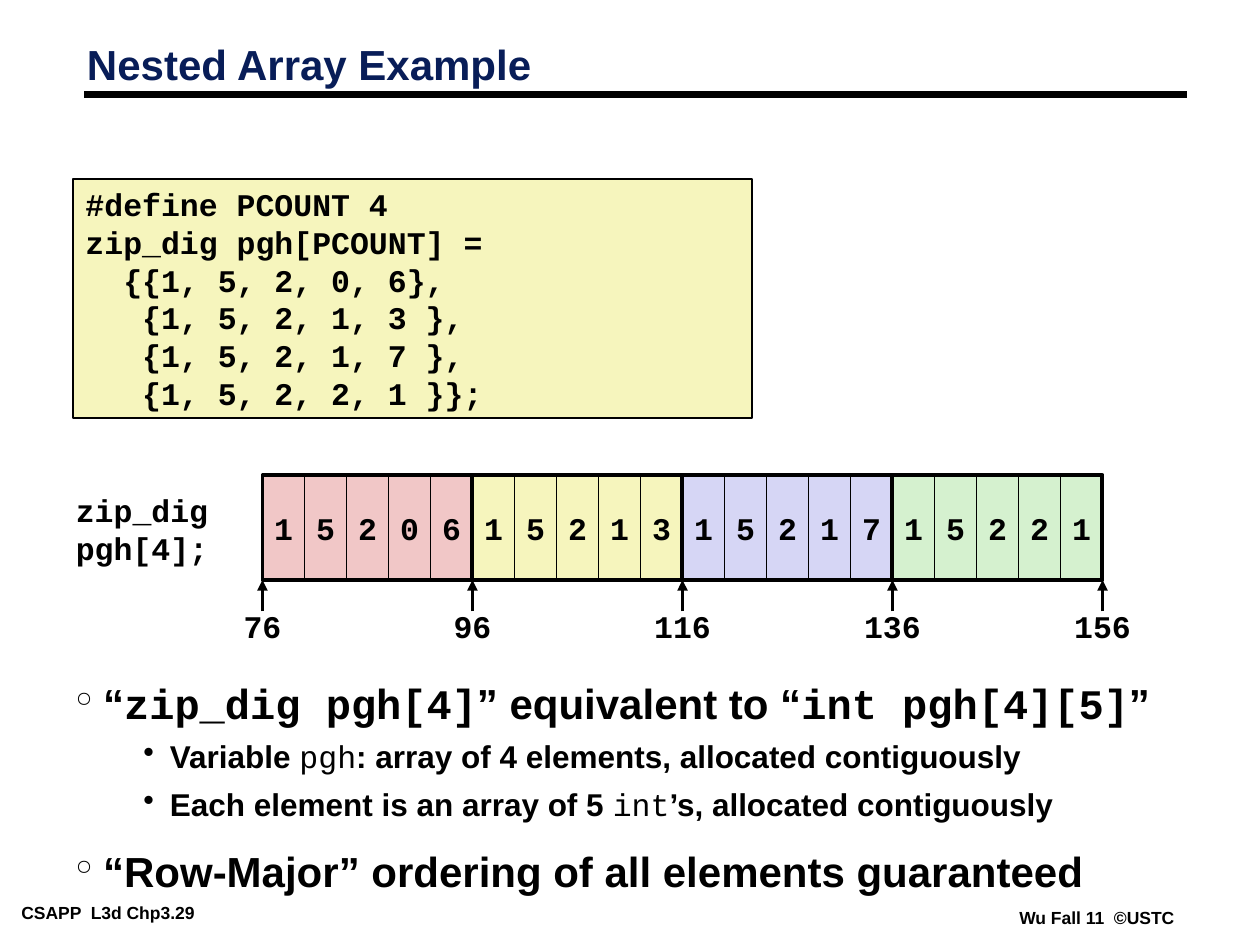
"""Build the nested array slide: code, memory row and notes."""
from lxml import etree
from pptx import Presentation
from pptx import util as u
from pptx.dml.color import RGBColor
from pptx.enum import shapes, text
from pptx.oxml import ns

BLACK = RGBColor(0, 0, 0)
NAVY = RGBColor(0x08, 0x1D, 0x58)
ROSE = RGBColor(0xF1, 0xC7, 0xC7)
CREAM = RGBColor(0xF6, 0xF5, 0xBD)
LILAC = RGBColor(0xD6, 0xD6, 0xF5)
MINT = RGBColor(0xD5, 0xF1, 0xCF)
SANS, MONO = "Arial", "Courier New"
COL = 1 / 3
LEFT, TOP, HIGH = 6.25 * COL, 3.77, 2.5 * COL
ROWS = [("15206", ROSE), ("15213", CREAM), ("15217", LILAC), ("15221", MINT)]
CODE = """#define PCOUNT 4
zip_dig pgh[PCOUNT] =
  {{1, 5, 2, 0, 6},
   {1, 5, 2, 1, 3 },
   {1, 5, 2, 1, 7 },
   {1, 5, 2, 2, 1 }};"""
NOTES = [
    (0, [("“", SANS), ("zip_dig pgh[4]", MONO), ("” equivalent to “", SANS),
         ("int pgh[4][5]", MONO), ("”", SANS)]),
    (1, [("Variable ", SANS), ("pgh", MONO),
         (": array of 4 elements, allocated contiguously", SANS)]),
    (1, [("Each element is an array of 5 ", SANS), ("int", MONO),
         ("’s, allocated contiguously", SANS)]),
    (0, [("“Row-Major” ordering of all elements guaranteed", SANS)]),
]
LEVELS = [("°", 0.22, 0.22, 24, 0.75, 19.5), ("•", 0.75, 0.21, 18, 0.85, 9)]


def style(para, size, name=SANS, color=BLACK):
    """Set the bold font of a paragraph."""
    font = para.font
    font.size, font.name, font.bold = u.Pt(size), name, True
    font.color.rgb = color


def write(shape, words, size=18, name=MONO, align=text.PP_ALIGN.LEFT,
          pad=(0.1, 0.05), anchor=text.MSO_ANCHOR.TOP, color=BLACK):
    """Fill a shape with lines of text in one font."""
    frame = shape.text_frame
    frame.word_wrap, frame.vertical_anchor = True, anchor
    frame.margin_left = frame.margin_right = u.Inches(pad[0])
    frame.margin_top = frame.margin_bottom = u.Inches(pad[1])
    for i, line in enumerate(words.split("\n")):
        para = frame.add_paragraph() if i else frame.paragraphs[0]
        para.text, para.alignment = line, align
        style(para, size, name, color)


def label(slide, box, words, **look):
    """Add a text box."""
    write(slide.shapes.add_textbox(*map(u.Inches, box)), words, **look)


def rect(slide, box, fill=None, width=1.0):
    """Add a black-edged rectangle, filled or hollow."""
    shape = slide.shapes.add_shape(
        shapes.MSO_SHAPE.RECTANGLE, *map(u.Inches, box))
    shape.shadow.inherit = False
    shape.line.color.rgb, shape.line.width = BLACK, u.Pt(width)
    if fill is None:
        shape.fill.background()
    else:
        shape.fill.solid()
        shape.fill.fore_color.rgb = fill
    return shape


def rule(slide, ends, width, arrow=False):
    """Add a straight black line, with an arrowhead if asked."""
    line = slide.shapes.add_connector(
        shapes.MSO_CONNECTOR.STRAIGHT, *map(u.Inches, ends))
    line.line.color.rgb, line.line.width = BLACK, u.Pt(width)
    if arrow:
        etree.SubElement(line.line._get_or_add_ln(), ns.qn("a:tailEnd"),
                         type="triangle")
    etree.SubElement(line._element.spPr, ns.qn("a:effectLst"))


def head(slide, words):
    """Place and format the title."""
    title = slide.shapes.title
    title.left, title.top, title.width, title.height = map(
        u.Inches, (0.59, 0.31, 4.83, 0.45))
    write(title, words, size=24, name=SANS, color=NAVY,
          anchor=text.MSO_ANCHOR.MIDDLE)
    title.text_frame.paragraphs[0].line_spacing = 0.87


def memory(slide):
    """Draw the rows of cells and the byte addresses below them."""
    wide, base = 5 * COL, TOP + HIGH
    for i in range(len(ROWS) + 1):
        x = LEFT + i * wide
        rule(slide, (x, base + 0.25, x, base), 2, arrow=True)
        label(slide, (x - 0.33, 4.77, 0.66, 0.4), str(76 + 20 * i),
              align=text.PP_ALIGN.CENTER, pad=(0, 0.05))
    for i, (digits, fill) in enumerate(ROWS):
        for j, digit in enumerate(digits):
            cell = rect(slide, (LEFT + i * wide + j * COL, TOP, COL, HIGH),
                        fill)
            write(cell, digit, align=text.PP_ALIGN.CENTER, pad=(0, 0.05),
                  anchor=text.MSO_ANCHOR.MIDDLE)
    for i in range(len(ROWS)):
        rect(slide, (LEFT + i * wide, TOP, wide, HIGH), width=2.25)


def bullet(para, mark, left, hang):
    """Give a paragraph a black bullet and a hanging indent."""
    props = para._p.get_or_add_pPr()
    props.set("marL", str(u.Inches(left)))
    props.set("indent", str(-u.Inches(hang)))
    tint = etree.SubElement(props, ns.qn("a:buClr"))
    etree.SubElement(tint, ns.qn("a:srgbClr"), val=str(BLACK))
    etree.SubElement(props, ns.qn("a:buChar"), char=mark)


def notes(slide):
    """Add the bulleted notes."""
    frame = slide.shapes.add_textbox(
        *map(u.Inches, (0.5, 5.42, 8.75, 2.08))).text_frame
    frame.word_wrap = True
    for i, (level, parts) in enumerate(NOTES):
        para = frame.add_paragraph() if i else frame.paragraphs[0]
        mark, left, hang, size, pitch, gap = LEVELS[level]
        para.level = level
        bullet(para, mark, left, hang)
        para.line_spacing, para.space_before = pitch, u.Pt(gap if i else 0)
        style(para, size)
        for words, name in parts:
            run = para.add_run()
            run.text, run.font.name = words, name
            if level and name == MONO:
                run.font.bold = False


def main():
    """Build and save the slide."""
    deck = Presentation()
    deck.slide_width, deck.slide_height = u.Inches(10), u.Inches(7.5)
    slide = deck.slides.add_slide(deck.slide_layouts.get_by_name("Title Only"))
    foot = dict(size=10, name=SANS, pad=(0.07, 0.03))
    label(slide, (0.1, 7.13, 2.03, 0.22), "CSAPP  L3d Chp3.29", **foot)
    label(slide, (8.02, 7.17, 1.38, 0.22), "Wu Fall 11  ©USTC", **foot)
    rule(slide, (0.67, 0.75, 9.42, 0.75), 4.5)
    head(slide, "Nested Array Example")
    notes(slide)
    write(rect(slide, (0.58, 1.42, 5.39, 1.9), CREAM), CODE)
    label(slide, (0.5, 3.85, 1.25, 0.7), "zip_dig\npgh[4];",
          align=text.PP_ALIGN.RIGHT)
    memory(slide)
    deck.save("out.pptx")


if __name__ == "__main__":
    main()
